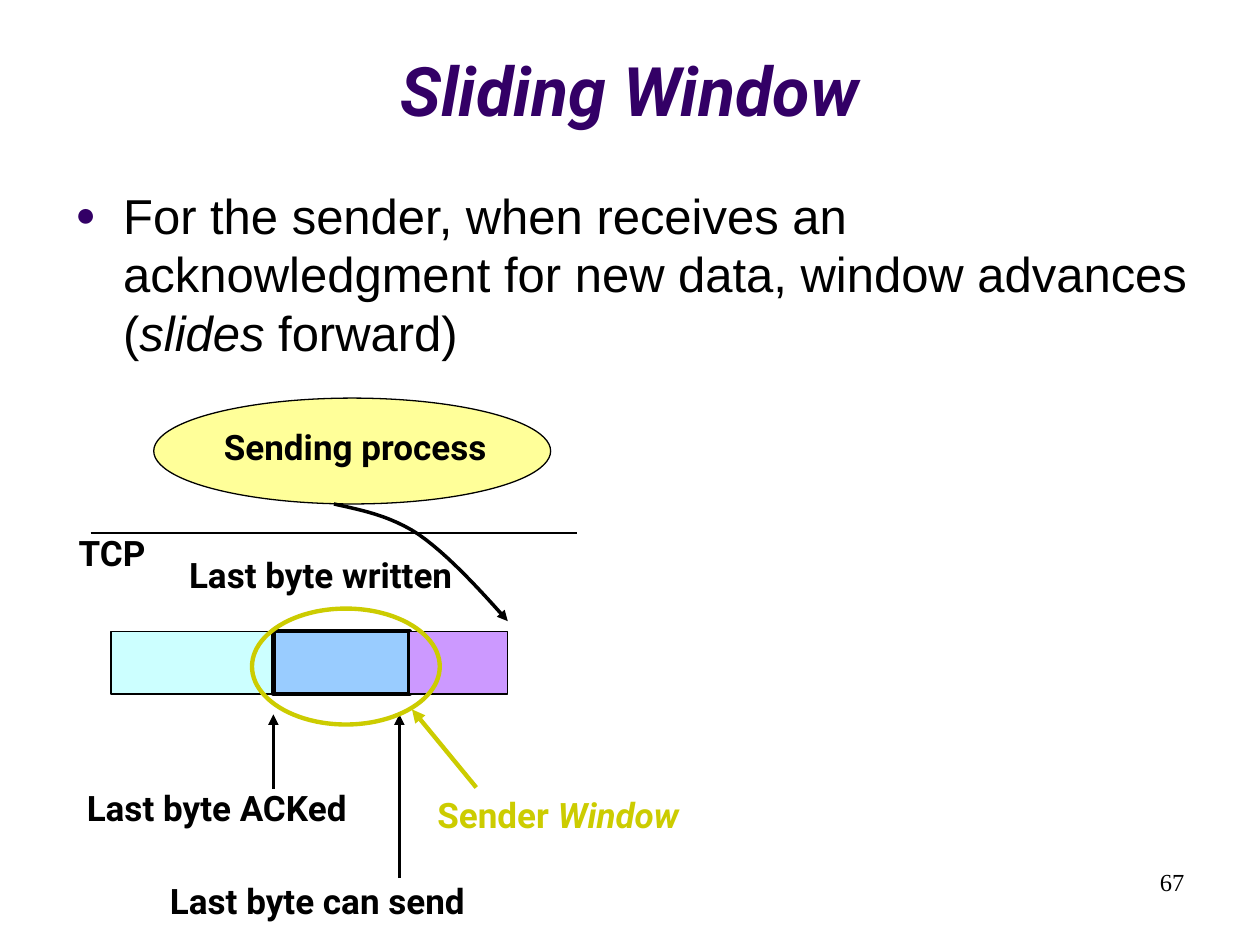
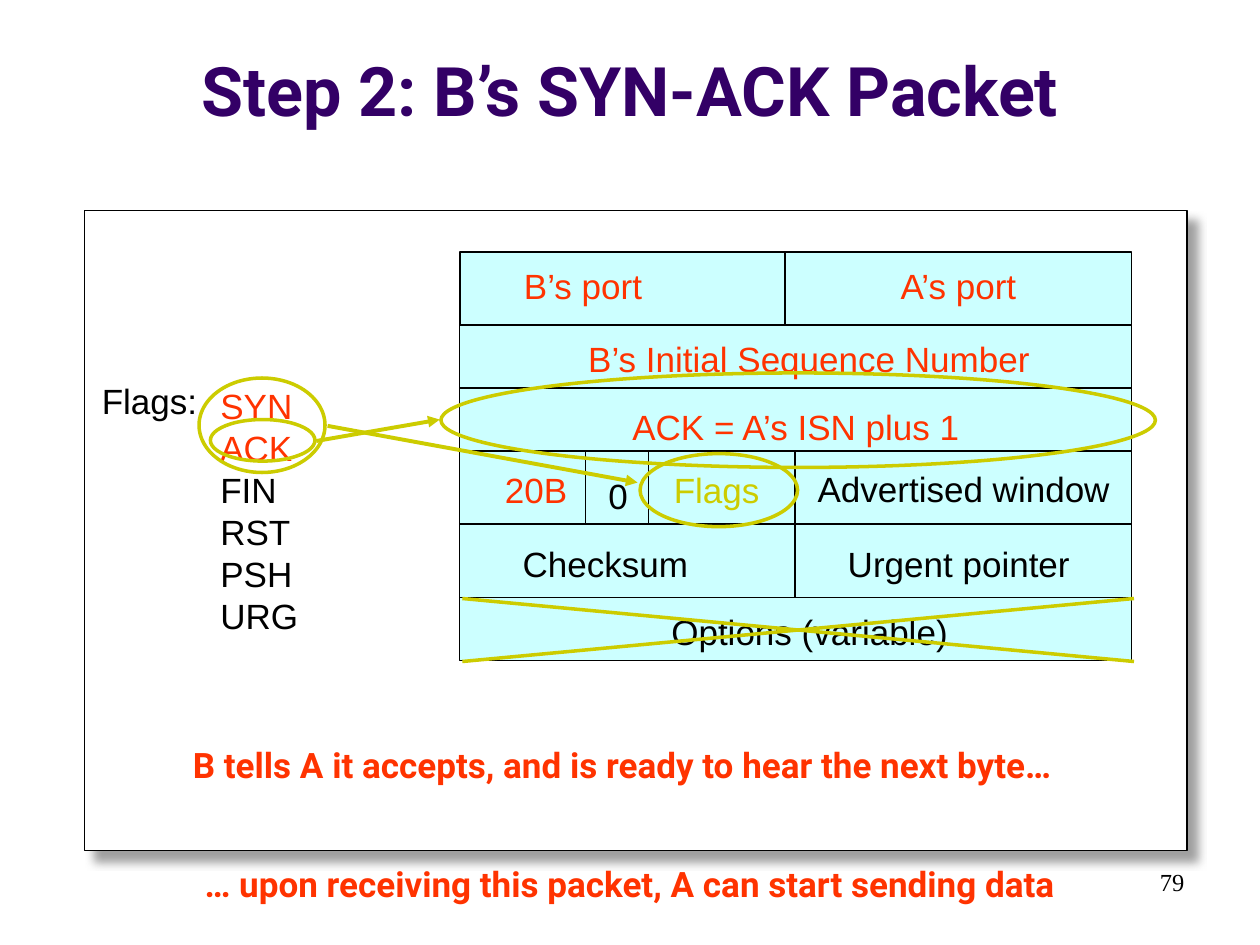
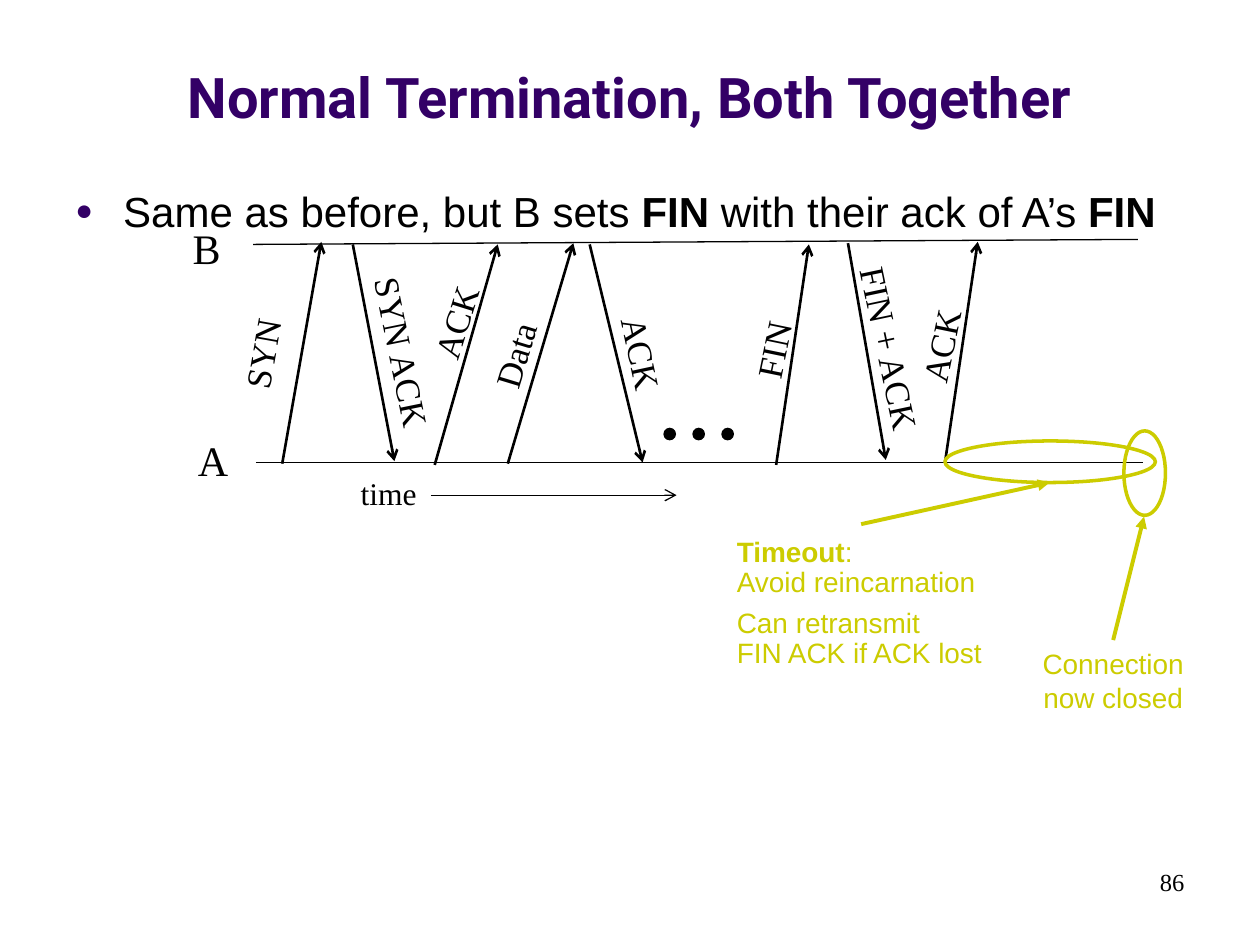
from itertools import pairwise

from lxml import etree
from pptx import Presentation
from pptx.dml.color import RGBColor
from pptx.enum.shapes import MSO_CONNECTOR, MSO_SHAPE
from pptx.enum.text import MSO_ANCHOR, MSO_AUTO_SIZE, PP_ALIGN
from pptx.oxml.ns import qn
from pptx.util import Emu, Inches, Pt

STRAIGHT = MSO_CONNECTOR.STRAIGHT
RECTANGLE, OVAL = MSO_SHAPE.RECTANGLE, MSO_SHAPE.OVAL
TOP, MIDDLE, BOTTOM = MSO_ANCHOR.TOP, MSO_ANCHOR.MIDDLE, MSO_ANCHOR.BOTTOM
LEFT, CENTER, RIGHT = PP_ALIGN.LEFT, PP_ALIGN.CENTER, PP_ALIGN.RIGHT
FIT_SHAPE, NO_FIT = MSO_AUTO_SIZE.SHAPE_TO_FIT_TEXT, MSO_AUTO_SIZE.NONE

COLORS = {
    "black": "000000", "white": "FFFFFF", "purple": "330066", "gold": "CCCC00",
    "red": "FF3300", "aqua": "CCFFFF", "blue": "99CCFF", "violet": "CC99FF",
    "yellow": "FFFF99", "shadow": "808080",
}
HEADING, BODY, SERIF = "Roboto", "Arial", "Times New Roman"
COLUMNS, ROWS = 10, 7.5
CELL = Inches(1)
LABEL_HEIGHT = 0.43
TITLE_BOX = (0, 0.13, COLUMNS, 0.95)
BODY_BOX = (0.5, 1.42, 9.33, 5.29)
NUMBER_BOX = (7.17, 6.83, 2.33, 0.5)

HEADER_LEFT, HEADER_RIGHT, HEADER_TOP = 3.65, 8.98, 2
TALL, SHORT = 0.58, 0.5
HEADER_ROWS = [
    (TALL, [6.23], [("B’s port", 4.06, 1.4, 0.05, "red"),
                    ("A’s port", 7.05, 1.4, 0.05, "red")]),
    (SHORT, [], [("B’s Initial Sequence Number", 4.57, 4, 0.05, "red")]),
    (SHORT, [], [("ACK = A’s ISN plus 1", 4.92, 3.1, 0.09, "red")]),
    (TALL, [4.65, 5.15, 6.31], [("20B", 3.91, 0.8, 0.09, "red"),
                                ("0", 4.73, 0.4, 0.14, "black"),
                                ("Flags", 5.25, 1, 0.09, "gold"),
                                ("Advertised window", 6.39, 2.7, 0.08, "black")]),
    (TALL, [6.31], [("Checksum", 4.05, 1.8, 0.1, "black"),
                    ("Urgent pointer", 6.63, 2.2, 0.1, "black")]),
    (SHORT, [], [("Options (variable)", 5.23, 2.7, 0.06, "black")]),
]

MESSAGES = [
    ("SYN", (2.24, 3.68), (2.55, 1.92), (1.7, 2.59, 0.76), 280.1),
    ("SYN ACK", (2.8, 1.94), (3.13, 3.66), (2.49, 2.58, 1.41), 78.5),
    ("ACK", (3.45, 3.69), (3.95, 1.94), (3.22, 2.34, 0.79), 287.4),
    ("Data", (4.03, 3.68), (4.55, 1.93), (3.72, 2.6, 0.73), 286.7),
    ("ACK", (4.68, 1.94), (5.1, 3.67), (4.7, 2.59, 0.79), 77.9),
    ("FIN", (6.16, 3.69), (6.42, 1.94), (5.81, 2.56, 0.65), 281.6),
    ("FIN + ACK", (6.73, 1.93), (7.03, 3.65), (6.3, 2.55, 1.53), 78.1),
    ("ACK", (7.5, 3.67), (7.76, 1.92), (7.07, 2.53, 0.79), 281.6),
]


def grid(*cells):
    return [Emu(round(cell * CELL)) for cell in cells]


def color(name):
    return RGBColor.from_string(COLORS[name])


def child(parent, tag, **attributes):
    return etree.SubElement(parent, qn(tag), attributes)


def add_spans(para, spans, size, font, ink, bold=False):
    for text, style in spans:
        for index, line in enumerate(text.split("\n")):
            if index:
                para.add_line_break()
            span = para.add_run()
            span.text = line
            span.font.size = Pt(size)
            span.font.name = font
            span.font.color.rgb = color(ink)
            span.font.bold = style.get("bold", bold)
            span.font.italic = style.get("italic", False)


def add_text(page, place, paragraphs, size, font=BODY, ink="black", bold=False,
             align=LEFT, anchor=TOP, wrap=False, angle=0):
    box = page.shapes.add_textbox(*grid(*place))
    box.rotation = angle
    frame = box.text_frame
    frame.word_wrap = wrap
    frame.auto_size = NO_FIT if wrap else FIT_SHAPE
    frame.vertical_anchor = anchor
    for index, spans in enumerate(paragraphs):
        para = frame.add_paragraph() if index else frame.paragraphs[0]
        para.alignment = align
        add_spans(para, spans, size, font, ink, bold)
    return box


def add_label(page, text, left, top, width, size=20, height=LABEL_HEIGHT, **style):
    return add_text(page, (left, top, width, height), [[(text, {})]], size, **style)


def add_caption(page, text, left, top, width, ink="black"):
    return add_label(page, text, left, top, width, font=HEADING, bold=True,
                     align=CENTER, ink=ink)


def add_bullet(page, spans, size):
    box = add_text(page, BODY_BOX, [[]], size, wrap=True)
    para = box.text_frame.paragraphs[0]
    indent, = grid(0.38)
    properties = para._p.get_or_add_pPr()
    properties.set("marL", str(indent))
    properties.set("indent", str(-indent))
    child(child(properties, "a:buClr"), "a:srgbClr", val=COLORS["purple"])
    child(properties, "a:buSzPct", val="70000")
    child(properties, "a:buFont", typeface=BODY)
    child(properties, "a:buChar", char="●")
    add_spans(para, spans, size, BODY, "black")


def add_outline(page, kind, place, fill=None, ink="black", weight=0.75):
    shape = page.shapes.add_shape(kind, *grid(*place))
    shape.shadow.inherit = False
    if fill:
        shape.fill.solid()
        shape.fill.fore_color.rgb = color(fill)
    else:
        shape.fill.background()
    shape.line.color.rgb = color(ink)
    shape.line.width = Pt(weight)
    return shape


def add_ring(page, *place, weight=2):
    return add_outline(page, OVAL, place, ink="gold", weight=weight)


def add_head(shape, head):
    child(shape.line._get_or_add_ln(), "a:tailEnd", type=head)


def add_line(page, start, end, ink="black", weight=0.75, head=None):
    line = page.shapes.add_connector(STRAIGHT, *grid(*start, *end))
    line.line.color.rgb = color(ink)
    line.line.width = Pt(weight)
    if head:
        add_head(line, head)
    child(line._element.spPr, "a:effectLst")
    return line


def add_pointer(page, start, end, weight=2.25):
    return add_line(page, start, end, "gold", weight, "triangle")


def bezier(points, share):
    while len(points) > 1:
        points = [tuple(a + (b - a) * share for a, b in zip(first, second))
                  for first, second in pairwise(points)]
    return points[0]


def add_curve(page, segments, steps=12):
    points = [grid(*bezier(segment, step / steps))
              for segment in segments for step in range(1, steps + 1)]
    builder = page.shapes.build_freeform(*grid(*segments[0][0]))
    builder.add_line_segments(points, close=False)
    curve = builder.convert_to_shape()
    curve.shadow.inherit = False
    curve.fill.background()
    curve.line.color.rgb = color("black")
    curve.line.width = Pt(2)
    add_head(curve, "triangle")


def add_drop_shadow(shape):
    effects = shape._element.spPr.find(qn("a:effectLst"))
    shadow = child(effects, "a:outerShdw", blurRad=str(Pt(5)), dist=str(Pt(8.5)),
                   dir="2700000", algn="tl", rotWithShape="0")
    tint = child(shadow, "a:srgbClr", val=COLORS["shadow"])
    child(tint, "a:alpha", val="75000")


def add_page(deck, title, number, size=39, italic=False):
    page = deck.slides.add_slide(deck.slide_layouts[6])
    add_text(page, TITLE_BOX, [[(title, {"italic": italic})]], size, HEADING,
             "purple", True, CENTER, BOTTOM, wrap=True)
    add_text(page, NUMBER_BOX, [[(number, {})]], 14, SERIF, align=RIGHT, wrap=True)
    return page


def build_sliding_window(deck):
    page = add_page(deck, "Sliding Window", "67", italic=True)
    add_bullet(page, [
        ("For the sender, when receives an acknowledgment for new data, "
         "window advances (", {}),
        ("slides", {"italic": True}), (" forward)", {})], 28)
    add_outline(page, OVAL, (1.22, 3.16, 3.15, 0.84), "yellow")
    add_line(page, (0.72, 4.23), (4.58, 4.23))
    for left, width, fill, weight in [(0.88, 1.28, "aqua", 0.75),
                                      (2.17, 1.08, "blue", 2.5),
                                      (3.25, 0.78, "violet", 0.75)]:
        add_outline(page, RECTANGLE, (left, 5.01, width, 0.5), fill, weight=weight)
    add_curve(page, [[(2.65, 4), (2.87, 4.05), (3.09, 4.09), (3.32, 4.24)],
                     [(3.32, 4.24), (3.55, 4.4), (3.79, 4.66), (4.03, 4.93)]])
    for column, bottom in [(2.17, 6.26), (3.17, 6.97)]:
        add_line(page, (column, bottom), (column, 5.67), weight=1.5, head="triangle")
    for text, left, top, width in [("Sending process", 1.6, 3.33, 2.44),
                                   ("Last byte ACKed", 0.51, 6.19, 2.42),
                                   ("Last byte can send", 1.17, 6.93, 2.7),
                                   ("TCP", 0.51, 4.17, 0.76),
                                   ("Last byte written", 1.34, 4.34, 2.41)]:
        add_caption(page, text, left, top, width)
    add_ring(page, 2, 4.83, 1.49, 0.92, weight=2.5)
    add_pointer(page, (3.78, 6.25), (3.27, 5.63), 2.5)
    add_text(page, (3.29, 6.25, 2.28, LABEL_HEIGHT),
             [[("Sender ", {}), ("Window", {"italic": True})]],
             20, HEADING, "gold", True, CENTER, MIDDLE)


def add_header(page):
    top = HEADER_TOP
    for height, splits, labels in HEADER_ROWS:
        edges = [HEADER_LEFT, *splits, HEADER_RIGHT]
        for left, right in pairwise(edges):
            add_outline(page, RECTANGLE, (left, top, right - left, height), "aqua")
        for text, left, width, drop, ink in labels:
            add_label(page, text, left, top + drop, width, ink=ink, wrap=True)
        top += height


def build_syn_ack(deck):
    page = add_page(deck, "Step 2: B’s SYN-ACK Packet", "79")
    panel = add_outline(page, RECTANGLE, (0.67, 1.67, 8.75, 5.08), "white")
    add_drop_shadow(panel)
    add_header(page)
    add_label(page, "Flags:", 0.71, 2.96, 1.1, wrap=True)
    flags = add_text(page, (1.65, 3, 1, 2.1),
                     [[(flag, {})] for flag in
                      ("SYN", "ACK", "FIN", "RST", "PSH", "URG")], 20, wrap=True)
    for para in flags.text_frame.paragraphs[:2]:
        para.runs[0].font.color.rgb = color("red")
    add_caption(page, "B tells A it accepts, and is ready to hear the next byte…",
                1.18, 5.85, 7.52, "red")
    add_caption(page, "… upon receiving this packet, A can start sending data",
                1.28, 6.8, 7.44, "red")
    add_pointer(page, (2.6, 3.38), (5.06, 3.83))
    add_ring(page, 1.58, 3, 1, 0.75)
    add_ring(page, 5.08, 3.6, 1.25, 0.58)
    add_pointer(page, (2.51, 3.5), (3.49, 3.33))
    add_ring(page, 1.67, 3.33, 0.83, 0.33)
    add_ring(page, 3.5, 2.96, 5.67, 0.75)
    for start, end in [(4.75, 5.25), (5.25, 4.75)]:
        add_line(page, (3.67, start), (9, end), "gold", 2)


def add_timeout_note(page):
    note = add_text(page, (5.75, 4.16, 2.17, 1.24),
                    [[("Timeout", {"bold": True}), (":", {})],
                     [("Avoid reincarnation", {})],
                     [("Can retransmit\nFIN ACK if ACK lost", {})]],
                    16, ink="gold", anchor=MIDDLE, wrap=True)
    for para, line in zip(note.text_frame.paragraphs[1:], (0.4, 0.9)):
        para.line_spacing = line
        para.space_before = Pt(8)
    return note


def build_termination(deck):
    page = add_page(deck, "Normal Termination, Both Together", "86", size=32)
    add_bullet(page, [("Same as before, but B sets ", {}), ("FIN", {"bold": True}),
                      (" with their ack of A’s ", {}), ("FIN", {"bold": True})], 24)
    serif = {"font": SERIF, "align": CENTER, "anchor": MIDDLE}
    for text, start, end, place, angle in MESSAGES:
        add_line(page, start, end, weight=1.5, head="arrow")
        add_label(page, text, *place, angle=angle, **serif)
    add_line(page, (2.01, 1.94), (9.03, 1.9))
    add_line(page, (2.03, 3.67), (9.07, 3.67))
    add_line(page, (3.42, 3.93), (5.37, 3.93), head="arrow")
    add_label(page, "time", 2.76, 3.71, 0.65, 18, 0.4, **serif)
    add_label(page, "A", 1.47, 3.4, 0.44, 24, 0.5, **serif)
    add_label(page, "B", 1.43, 1.72, 0.42, 24, 0.5, **serif)
    for dot in range(3):
        add_outline(page, OVAL, (5.27 + 0.23 * dot, 3.4, 0.09, 0.09), "black")
    add_ring(page, 8.92, 3.42, 0.33, 0.67)
    add_ring(page, 7.5, 3.5, 1.67, 0.33)
    closed = add_text(page, (8.17, 5.08, 1.33, 0.64),
                      [[("Connection\nnow closed", {})]], 16, ink="gold",
                      align=CENTER, anchor=MIDDLE, wrap=True)
    timeout = add_timeout_note(page)
    for note, start, end in [(closed, (8.83, 5.08), (9.08, 4.1)),
                             (timeout, (6.84, 4.16), (8.33, 3.83))]:
        add_pointer(page, start, end).begin_connect(note, 0)


def main():
    deck = Presentation()
    deck.slide_width, deck.slide_height = grid(COLUMNS, ROWS)
    build_sliding_window(deck)
    build_syn_ack(deck)
    build_termination(deck)
    deck.save("out.pptx")


if __name__ == "__main__":
    main()
